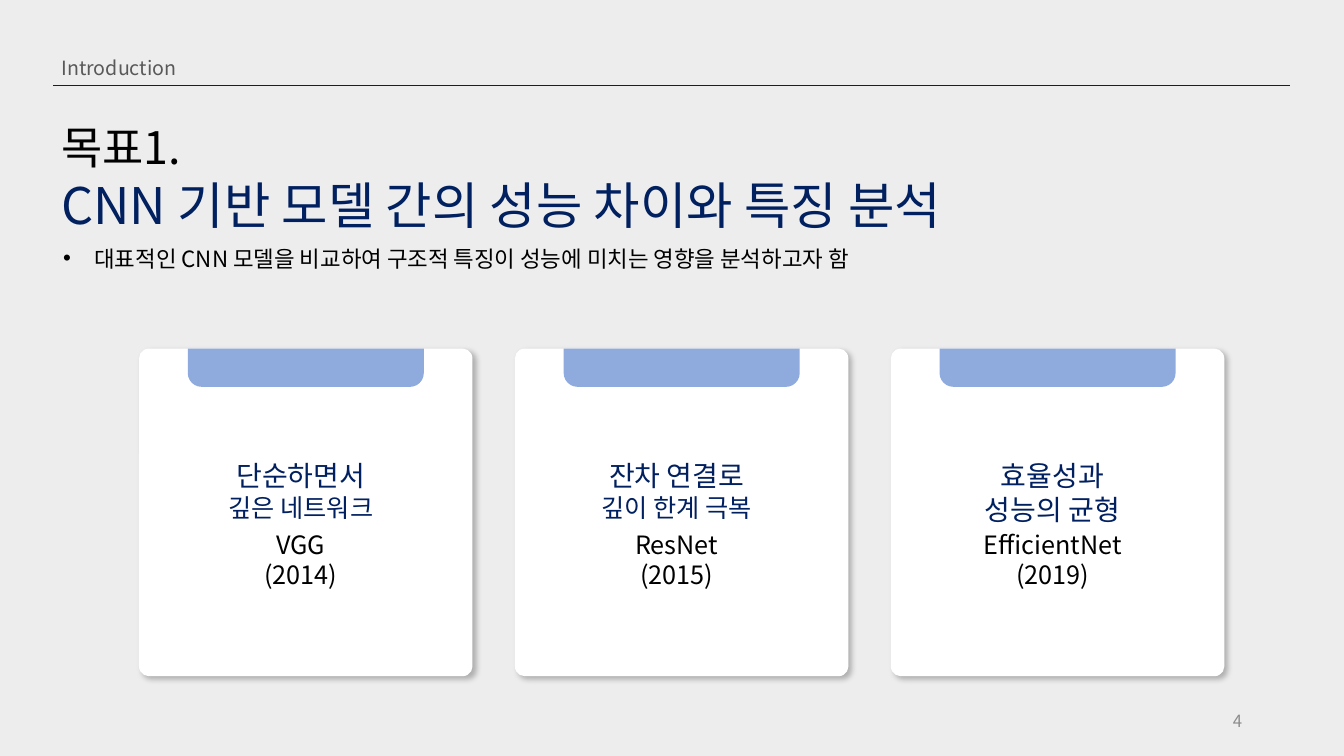
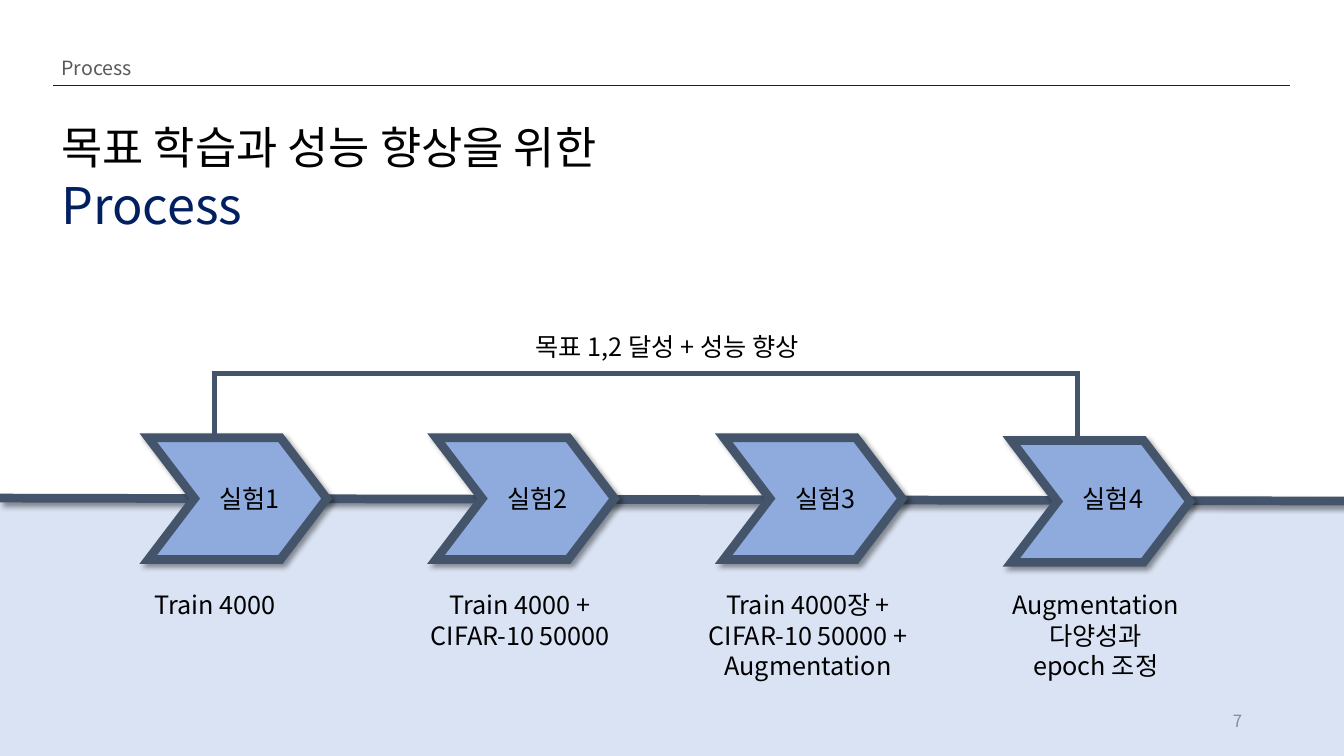
from dataclasses import dataclass

from pptx import Presentation
from pptx.dml.color import RGBColor
from pptx.enum.shapes import MSO_CONNECTOR, MSO_SHAPE
from pptx.enum.text import MSO_ANCHOR, PP_ALIGN
from pptx.oxml.ns import qn
from pptx.oxml.xmlchemy import OxmlElement
from pptx.util import Emu, Inches, Pt

LEFT, CENTER, RIGHT, JUSTIFY = PP_ALIGN.LEFT, PP_ALIGN.CENTER, PP_ALIGN.RIGHT, PP_ALIGN.JUSTIFY
TOP, MIDDLE = MSO_ANCHOR.TOP, MSO_ANCHOR.MIDDLE
STRAIGHT = MSO_CONNECTOR.STRAIGHT
RECTANGLE, CHEVRON = MSO_SHAPE.RECTANGLE, MSO_SHAPE.CHEVRON
ROUNDED, ROUNDED_TOP = MSO_SHAPE.ROUNDED_RECTANGLE, MSO_SHAPE.ROUND_2_SAME_RECTANGLE
COLUMNS, ROWS = 32, 18


@dataclass(frozen=True)
class Theme:
    font: str = "Noto Sans CJK KR"
    black: str = "000000"
    white: str = "FFFFFF"
    paper: str = "EDEDED"
    navy: str = "002060"
    blue: str = "8FAADC"
    pale: str = "DAE3F3"
    slate: str = "44546A"
    grey: str = "595959"
    light_grey: str = "8C8C8C"
    title: int = 32
    headline: int = 36
    section: int = 14
    bullet: int = 16
    lead: int = 20
    body: int = 18
    page: int = 12
    hairline: float = 0.5
    bracket: float = 3.5
    heavy: float = 6.25
    soft_shadow: int = 25
    strong_shadow: int = 40


def add_element(parent, tag, **attributes):
    element = OxmlElement(tag)
    for name, value in attributes.items():
        element.set(name, str(value))
    parent.append(element)
    return element


class Deck:
    def __init__(self, theme):
        self.theme = theme
        self.presentation = Presentation()
        self.presentation.slide_width = Inches(13.33)
        self.presentation.slide_height = Inches(7.5)
        self.slide = None

    def across(self, columns):
        return Emu(round(self.presentation.slide_width * columns / COLUMNS))

    def down(self, rows):
        return Emu(round(self.presentation.slide_height * rows / ROWS))

    def box(self, column, row, columns, rows):
        return self.across(column), self.down(row), self.across(columns), self.down(rows)

    def start(self, section, title, headline, page, background, band_row=None):
        theme = self.theme
        self.slide = self.presentation.slides.add_slide(self.presentation.slide_layouts[6])
        fill = self.slide.background.fill
        fill.solid()
        fill.fore_color.rgb = RGBColor.from_string(background)
        if band_row is not None:
            self.shape(RECTANGLE, (0, band_row, COLUMNS, ROWS - band_row), theme.pale)
        self.line((1.27, 2.04), (30.72, 2.04), theme.navy, theme.hairline)
        self.text((1.27, 1.22, 3.98, 0.82), [(section, theme.section, theme.grey)], LEFT, inset=0.08)
        self.text((1.27, 2.74, 28.18, 3),
                  [(title, theme.title, theme.black), (headline, theme.headline, theme.navy)],
                  LEFT, inset=0.08)
        self.text((22.61, 16.68, 7.2, 0.96), [(str(page), theme.page, theme.light_grey)],
                  RIGHT, MIDDLE, inset=0.1)

    def text(self, place, lines, align=CENTER, anchor=TOP, inset=0):
        frame = self.slide.shapes.add_textbox(*self.box(*place)).text_frame
        frame.word_wrap = True
        frame.vertical_anchor = anchor
        frame.margin_left, frame.margin_right = Inches(inset), Inches(0.1)
        frame.text = "\n".join(words for words, size, color in lines)
        for paragraph, (words, size, color) in zip(frame.paragraphs, lines):
            paragraph.alignment = align
            for run in paragraph.runs:
                run.font.size = Pt(size)
                run.font.color.rgb = RGBColor.from_string(color)
                run.font.name = self.theme.font
                add_element(run.font._element, "a:ea", typeface=self.theme.font)
        return frame

    def bullet(self, place, words):
        frame = self.text(place, [(words, self.theme.bullet, self.theme.black)], JUSTIFY, inset=0.1)
        properties = frame.paragraphs[0]._p.get_or_add_pPr()
        indent = Inches(0.31)
        properties.set("marL", str(indent))
        properties.set("indent", str(-indent))
        add_element(properties, "a:buFont", typeface="Arial")
        add_element(properties, "a:buChar", char="•")

    def stroke(self, item, color, width):
        item.line.color.rgb = RGBColor.from_string(color)
        item.line.width = Pt(width)
        outline = item._element.spPr.find(qn("a:ln"))
        add_element(outline, "a:miter", lim=800000)

    def effects(self, item, opacity=None):
        effects = add_element(item._element.spPr, "a:effectLst")
        if opacity is not None:
            shadow = add_element(effects, "a:outerShdw", blurRad=Pt(4), dist=Pt(3),
                                 dir=45 * 60000, algn="tl", rotWithShape=0)
            color = add_element(shadow, "a:srgbClr", val=self.theme.black)
            add_element(color, "a:alpha", val=opacity * 1000)

    def shape(self, kind, place, color, adjustments=(), outline=None, shadow=None):
        shape = self.slide.shapes.add_shape(kind, *self.box(*place))
        for index, value in enumerate(adjustments):
            shape.adjustments[index] = value
        shape.fill.solid()
        shape.fill.fore_color.rgb = RGBColor.from_string(color)
        if outline:
            self.stroke(shape, outline, self.theme.heavy)
        else:
            shape.line.fill.background()
        self.effects(shape, shadow)
        return shape

    def line(self, start, end, color, width, shadow=None):
        connector = self.slide.shapes.add_connector(
            STRAIGHT, self.across(start[0]), self.down(start[1]),
            self.across(end[0]), self.down(end[1]))
        self.stroke(connector, color, width)
        self.effects(connector, shadow)

    def bracket(self, left, right, top, bottom):
        points = [(self.across(column), self.down(row))
                  for column, row in ((left, bottom), (left, top), (right, top), (right, bottom))]
        builder = self.slide.shapes.build_freeform(*points[0])
        builder.add_line_segments(points[1:], close=False)
        shape = builder.convert_to_shape()
        shape.fill.background()
        self.stroke(shape, self.theme.slate, self.theme.bracket)
        self.effects(shape)

    def model_card(self, left, top, claims, model):
        theme = self.theme
        width, tab_width, text_width = 7.94, 5.62, 4.46
        self.shape(ROUNDED, (left, top, width, 7.8), theme.white, (0.03,), shadow=theme.soft_shadow)
        tab = self.shape(ROUNDED_TOP, (left + (width - tab_width) / 2, top, tab_width, 0.91),
                         theme.blue, (0.36, 0))
        tab.rotation = 180
        text_left = left + (width - text_width) / 2
        self.text((text_left, top + 2.5, text_width, 1.78),
                  [(words, size, theme.navy) for words, size in claims])
        self.text((text_left, top + 4.18, text_width, 1.7),
                  [(words, theme.body, theme.black) for words in model])

    def step(self, left, top, name, caption, shift=0):
        theme = self.theme
        width, text_width = 4.25, 5.21
        self.shape(CHEVRON, (left, top, width, 2.9), theme.blue, (0.38,),
                   theme.slate, theme.strong_shadow)
        self.text((left - 0.07, 11.4, text_width, 0.96), [(name, theme.body, theme.black)])
        self.text((left + (width - text_width) / 2 + shift, 13.92, text_width, 2.42),
                  [(words, theme.body, theme.black) for words in caption])


def build_goal(deck):
    theme = deck.theme
    deck.start("Introduction", "목표1.", "CNN 기반 모델 간의 성능 차이와 특징 분석", 4, theme.paper)
    deck.bullet((1.27, 5.71, 29.45, 0.89),
                "대표적인 CNN 모델을 비교하여 구조적 특징이 성능에 미치는 영향을 분석하고자 함")
    cards = [
        ([("단순하면서", theme.lead), ("깊은 네트워크", theme.body)], ["VGG", "(2014)"]),
        ([("잔차 연결로", theme.lead), ("깊이 한계 극복", theme.body)], ["ResNet", "(2015)"]),
        ([("효율성과", theme.lead), ("성능의 균형", theme.lead)], ["EfficientNet", "(2019)"]),
    ]
    for index, (claims, model) in enumerate(cards):
        deck.model_card(3.31 + 8.95 * index, 8.3, claims, model)


def build_process(deck):
    theme = deck.theme
    first, pitch, top, hook = 3.53, 6.85, 10.42, 1.58
    deck.start("Process", "목표 학습과 성능 향상을 위한", "Process", 7, theme.white, band_row=11.93)
    deck.line((0, 11.86), (COLUMNS, 11.93), theme.slate, theme.heavy, theme.strong_shadow)
    steps = [
        ("실험1", ["Train 4000"], 0, -0.41),
        ("실험2", ["Train 4000 +", "CIFAR-10 50000"], 0, 0),
        ("실험3", ["Train 4000장 +", "CIFAR-10 50000 + Augmentation"], 0, 0),
        ("실험4", ["Augmentation 다양성과", "epoch 조정"], 0.07, 0),
    ]
    for index, (name, caption, drop, shift) in enumerate(steps):
        deck.step(first + pitch * index, top + drop, name, caption, shift)
    last = first + pitch * (len(steps) - 1)
    deck.bracket(first + hook, last + hook, 8.9, top)
    deck.text((10.39, 7.78, 11.23, 0.96), [("목표 1,2 달성 + 성능 향상", theme.body, theme.black)])


def main():
    deck = Deck(Theme())
    build_goal(deck)
    build_process(deck)
    deck.presentation.save("out.pptx")


if __name__ == "__main__":
    main()
